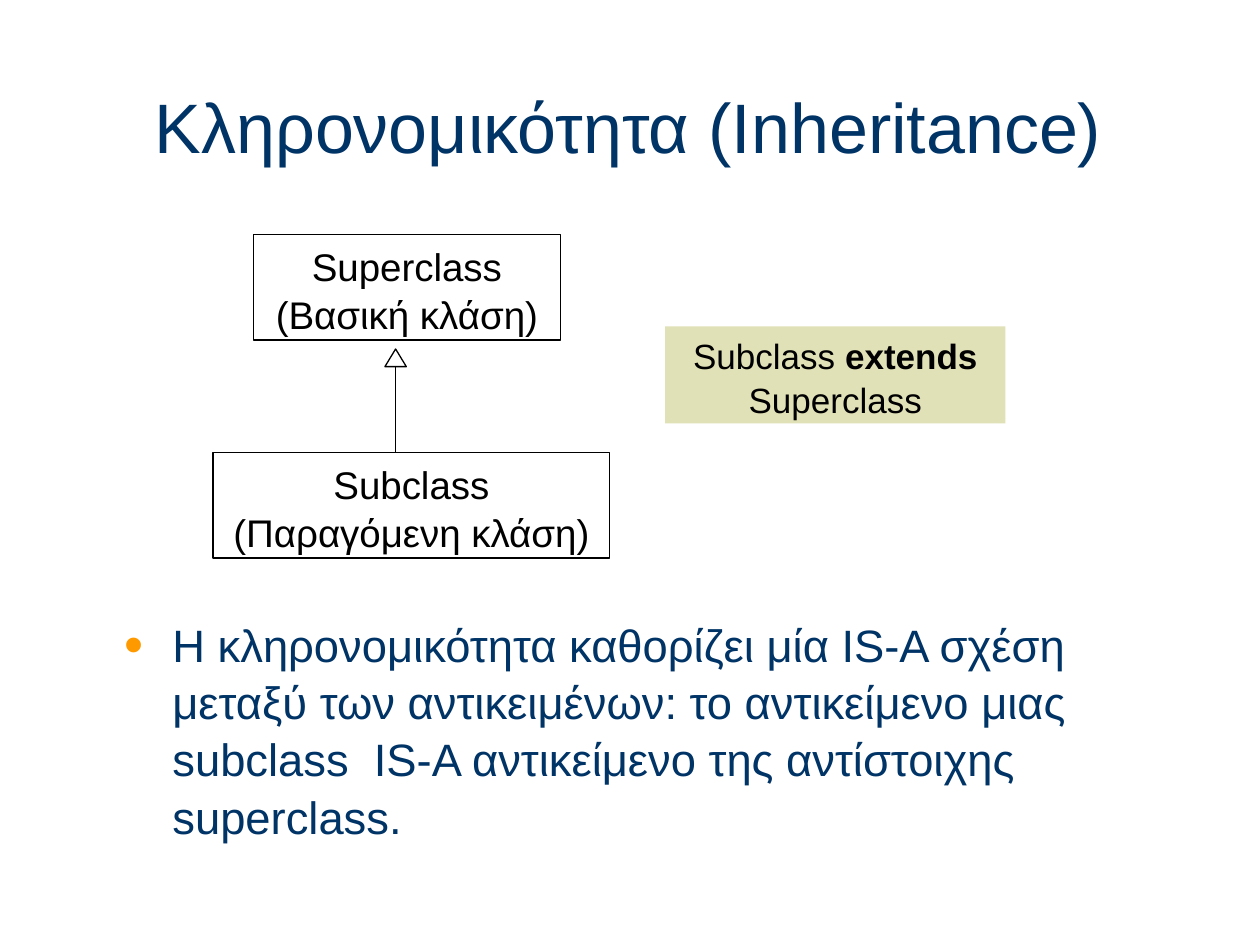
from lxml import etree
from pptx import Presentation
from pptx.dml.color import RGBColor
from pptx.enum.shapes import MSO_CONNECTOR, MSO_SHAPE
from pptx.enum.text import MSO_ANCHOR, PP_ALIGN
from pptx.oxml.ns import qn
from pptx.util import Inches, Pt

RECT = MSO_SHAPE.RECTANGLE
HEAD = MSO_SHAPE.ISOSCELES_TRIANGLE
LINE = MSO_CONNECTOR.STRAIGHT
LEFT, MID = PP_ALIGN.LEFT, PP_ALIGN.CENTER
TOP, CENTER = MSO_ANCHOR.TOP, MSO_ANCHOR.MIDDLE


def color(code):
    return RGBColor.from_string(code)


class Deck:
    font = "Arial"
    navy, black, white = "003366", "000000", "FFFFFF"
    sand, orange = "E1E1B7", "FF9900"
    width = 0.75

    def __init__(self):
        self.prs = Presentation()
        self.prs.slide_width = Inches(10)
        self.prs.slide_height = Inches(7.5)
        self.slide = self.prs.slides.add_slide(self.prs.slide_layouts[6])

    def label(self, shape, text, size, ink, align, anchor=TOP, gap=1.0, bold=None):
        frame = shape.text_frame
        frame.word_wrap = True
        frame.vertical_anchor = anchor
        frame.text = text
        for para in frame.paragraphs:
            para.alignment = align
            para.line_spacing = gap
            if bold:
                first, word, last = para.text.partition(bold)
                para.text = first
                for part in (word, last):
                    para.add_run().text = part
            for run in para.runs:
                run.font.name = self.font
                run.font.size = Pt(size)
                run.font.bold = run.text == bold
                run.font.color.rgb = color(ink)
        return frame

    def text(self, at, text, size, **style):
        box = self.slide.shapes.add_textbox(*map(Inches, at))
        return self.label(box, text, size, self.navy, LEFT, **style)

    def bullet(self, at, text, size):
        para = self.text(at, text, size, gap=1.05).paragraphs[0]
        para.space_before = Pt(10.5)
        props = para._p.get_or_add_pPr()
        props.set("marL", str(Inches(0.38)))
        props.set("indent", str(-Inches(0.38)))
        tint = etree.SubElement(props, qn("a:buClr"))
        etree.SubElement(tint, qn("a:srgbClr"), val=self.orange)
        etree.SubElement(props, qn("a:buSzPct"), val="120000")
        etree.SubElement(props, qn("a:buFont"), typeface=self.font)
        etree.SubElement(props, qn("a:buChar"), char="•")

    def shape(self, kind, at, fill, edge=True):
        item = self.slide.shapes.add_shape(kind, *map(Inches, at))
        item.shadow.inherit = False
        item.fill.solid()
        item.fill.fore_color.rgb = color(fill)
        if edge:
            item.line.color.rgb = color(self.black)
            item.line.width = Pt(self.width)
        else:
            item.line.fill.background()
        return item

    def box(self, at, text, size, fill=white, edge=True, bold=None):
        item = self.shape(RECT, at, fill, edge)
        self.label(item, text, size, self.black, MID, gap=1.05, bold=bold)

    def arrow(self, x, start, tip):
        wide, high = 0.17, 0.14
        ends = (x, start, x, tip + high / 2)
        line = self.slide.shapes.add_connector(LINE, *map(Inches, ends))
        line.line.color.rgb = color(self.black)
        line.line.width = Pt(self.width)
        etree.SubElement(line._element.spPr, qn("a:effectLst"))
        self.shape(HEAD, (x - wide / 2, tip, wide, high), self.white)

    def save(self):
        self.prs.save("out.pptx")


def main():
    deck = Deck()
    deck.arrow(3.14, 3.95, 2.77)
    deck.text((1.13, 0.53, 8.5, 0.94), "Κληρονομικότητα (Inheritance)", 40, anchor=CENTER)
    deck.bullet(
        (0.89, 4.83, 8.24, 1.86),
        "Η κληρονομικότητα καθορίζει μία IS-A σχέση μεταξύ των αντικειμένων: "
        "το αντικείμενο μιας subclass  IS-A αντικείμενο της αντίστοιχης superclass.",
        25.9,
    )
    deck.box((2.01, 1.86, 2.44, 0.84), "Superclass\n(Βασική κλάση)", 22)
    deck.box((1.69, 3.59, 3.15, 0.84), "Subclass\n(Παραγόμενη κλάση)", 22)
    deck.box(
        (5.28, 2.59, 2.7, 0.77), "Subclass extends Superclass", 20,
        fill=deck.sand, edge=False, bold="extends",
    )
    deck.save()


if __name__ == "__main__":
    main()
